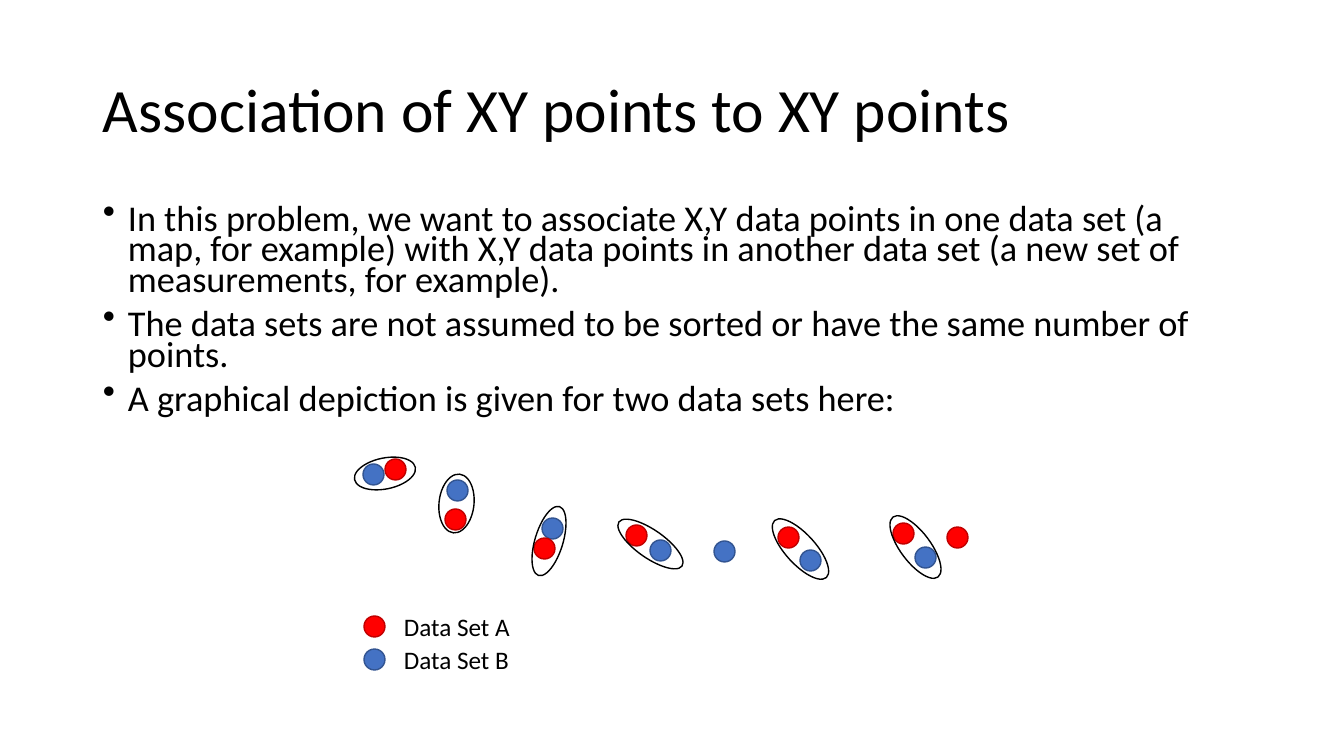
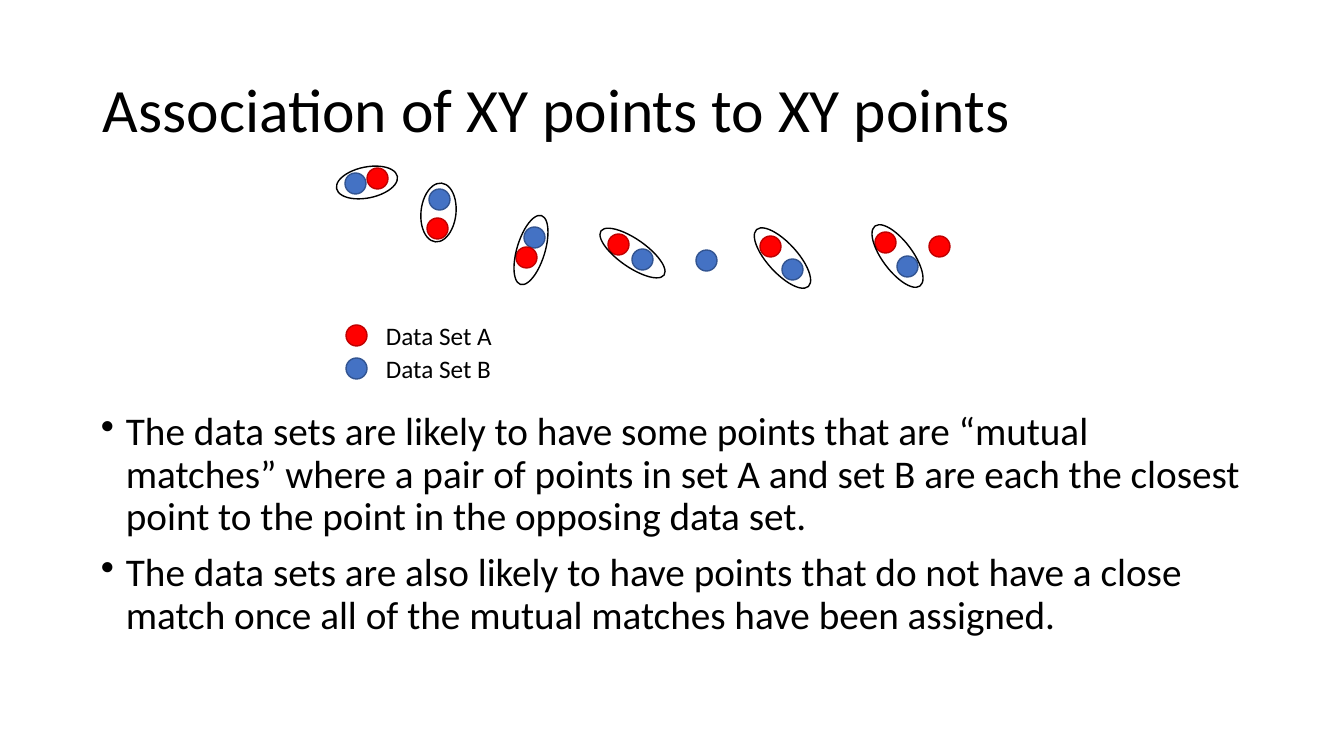
from dataclasses import dataclass

from lxml.etree import SubElement
from pptx import Presentation
from pptx.dml.color import RGBColor as Rgb
from pptx.enum.shapes import MSO_SHAPE as Shape
from pptx.enum.text import MSO_ANCHOR as Anchor, MSO_AUTO_SIZE as AutoSize
from pptx.oxml.ns import qn
from pptx.util import Emu, Pt


@dataclass(frozen=True)
class Theme:
    """Colours, font and type sizes shared by the slides."""
    ink: Rgb = Rgb(0x00, 0x00, 0x00)
    set_a: tuple = (Rgb(0xFF, 0x00, 0x00), Rgb(0xC0, 0x00, 0x00))
    set_b: tuple = (Rgb(0x44, 0x72, 0xC4), Rgb(0x32, 0x54, 0x91))
    font: str = "Calibri"
    title_size: float = 44
    legend_size: float = 18


THEME = Theme()
EMU_PER_PIXEL = 914400 / 100.8
DOT = 21
INDENT = 25
TITLE = "Association of XY points to XY points"
TITLE_BOX = (93, 40, 1159, 146)

POINTS_A = [(35, 9), (95, 59), (184, 88), (276, 75), (428, 77), (543, 73), (597, 77)]
POINTS_B = [(13, 14), (97, 30), (192, 68), (300, 90), (364, 91), (450, 100), (565, 97)]
MATCHES = [
    ((4, 8, 62, 31), 348.6),
    ((77, 36, 59, 35), 276.1),
    ((163, 77, 72, 28), 286.9),
    ((262, 80, 77, 28), 214.9),
    ((412, 84, 77, 30), 227.7),
    ((528, 82, 75, 30), 233.1),
]
LEGEND = [("Data Set A", THEME.set_a), ("Data Set B", THEME.set_b)]
LEGEND_TOP, LEGEND_STEP = 166, 33

SLIDES = [
    {
        "body_box": (93, 202, 1159, 245),
        "size": 25.9,
        "spacing": 0.7,
        "diagram_at": (350, 450),
        "points": [
            "In this problem, we want to associate X,Y data points in one data set "
            "(a map, for example) with X,Y data points in another data set "
            "(a new set of measurements, for example).",
            "The data sets are not assumed to be sorted or have the same number of points.",
            "A graphical depiction is given for two data sets here:",
        ],
    },
    {
        "body_box": (91, 407, 1159, 308),
        "size": 28,
        "spacing": 0.9,
        "diagram_at": (332, 159),
        "points": [
            "The data sets are likely to have some points that are “mutual matches” "
            "where a pair of points in set A and set B are each the closest point "
            "to the point in the opposing data set.",
            "The data sets are also likely to have points that do not have a close "
            "match once all of the mutual matches have been assigned.",
        ],
    },
]


def px(pixels):
    """Turn pixels into EMU."""
    return Emu(round(pixels * EMU_PER_PIXEL))


def add_frame(shapes, box, wrap=True):
    """Add a text box and return its text frame."""
    frame = shapes.add_textbox(*map(px, box)).text_frame
    frame.word_wrap = wrap
    return frame


def add_words(paragraph, words, size):
    """Add one run in the theme font."""
    run = paragraph.add_run()
    run.text = words
    run.font.name = THEME.font
    run.font.size = Pt(size)
    run.font.color.rgb = THEME.ink


def add_title(slide):
    """Add the title that every slide carries."""
    frame = add_frame(slide.shapes, TITLE_BOX)
    frame.vertical_anchor = Anchor.MIDDLE
    heading = frame.paragraphs[0]
    heading.line_spacing = 0.9
    add_words(heading, TITLE, THEME.title_size)


def add_bullets(slide, box, points, size, spacing):
    """Add the bulleted body text."""
    frame = add_frame(slide.shapes, box)
    for index, point in enumerate(points):
        bullet = frame.add_paragraph() if index else frame.paragraphs[0]
        bullet.line_spacing = spacing
        bullet.space_before = Pt(10)
        properties = bullet._p.get_or_add_pPr()
        properties.set("marL", str(px(INDENT)))
        properties.set("indent", str(-px(INDENT)))
        SubElement(properties, qn("a:buChar")).set("char", "•")
        add_words(bullet, point, size)


def add_ellipse(shapes, box, outline, fill=None, rotation=0):
    """Add an ellipse, hollow unless a fill is given."""
    ellipse = shapes.add_shape(Shape.OVAL, *map(px, box))
    ellipse.shadow.inherit = False
    ellipse.rotation = rotation
    ellipse.line.color.rgb = outline
    ellipse.line.width = Pt(1)
    if fill is None:
        ellipse.fill.background()
    else:
        ellipse.fill.solid()
        ellipse.fill.fore_color.rgb = fill


def add_diagram(slide, left, top):
    """Draw both data sets, their legend and the mutual matches."""
    shapes = slide.shapes.add_group_shape().shapes

    def add_dot(x, y, colours):
        """Add one data point."""
        fill, outline = colours
        add_ellipse(shapes, (left + x, top + y, DOT, DOT), outline, fill)

    for points, colours in ((POINTS_B, THEME.set_b), (POINTS_A, THEME.set_a)):
        for x, y in points:
            add_dot(x, y, colours)
    for row, (label, colours) in enumerate(LEGEND):
        y = LEGEND_TOP + row * LEGEND_STEP
        add_dot(14, y, colours)
        frame = add_frame(shapes, (left + 44, top + y - 10, 127, 40), wrap=False)
        frame.auto_size = AutoSize.SHAPE_TO_FIT_TEXT
        add_words(frame.paragraphs[0], label, THEME.legend_size)
    for (x, y, width, height), rotation in MATCHES:
        add_ellipse(shapes, (left + x, top + y, width, height), THEME.ink, rotation=rotation)


def main():
    """Build and save the presentation."""
    deck = Presentation()
    deck.slide_width, deck.slide_height = px(1344), px(756)
    for content in SLIDES:
        slide = deck.slides.add_slide(deck.slide_layouts[6])
        add_title(slide)
        add_bullets(slide, content["body_box"], content["points"],
                    content["size"], content["spacing"])
        add_diagram(slide, *content["diagram_at"])
    deck.save("out.pptx")


main()
